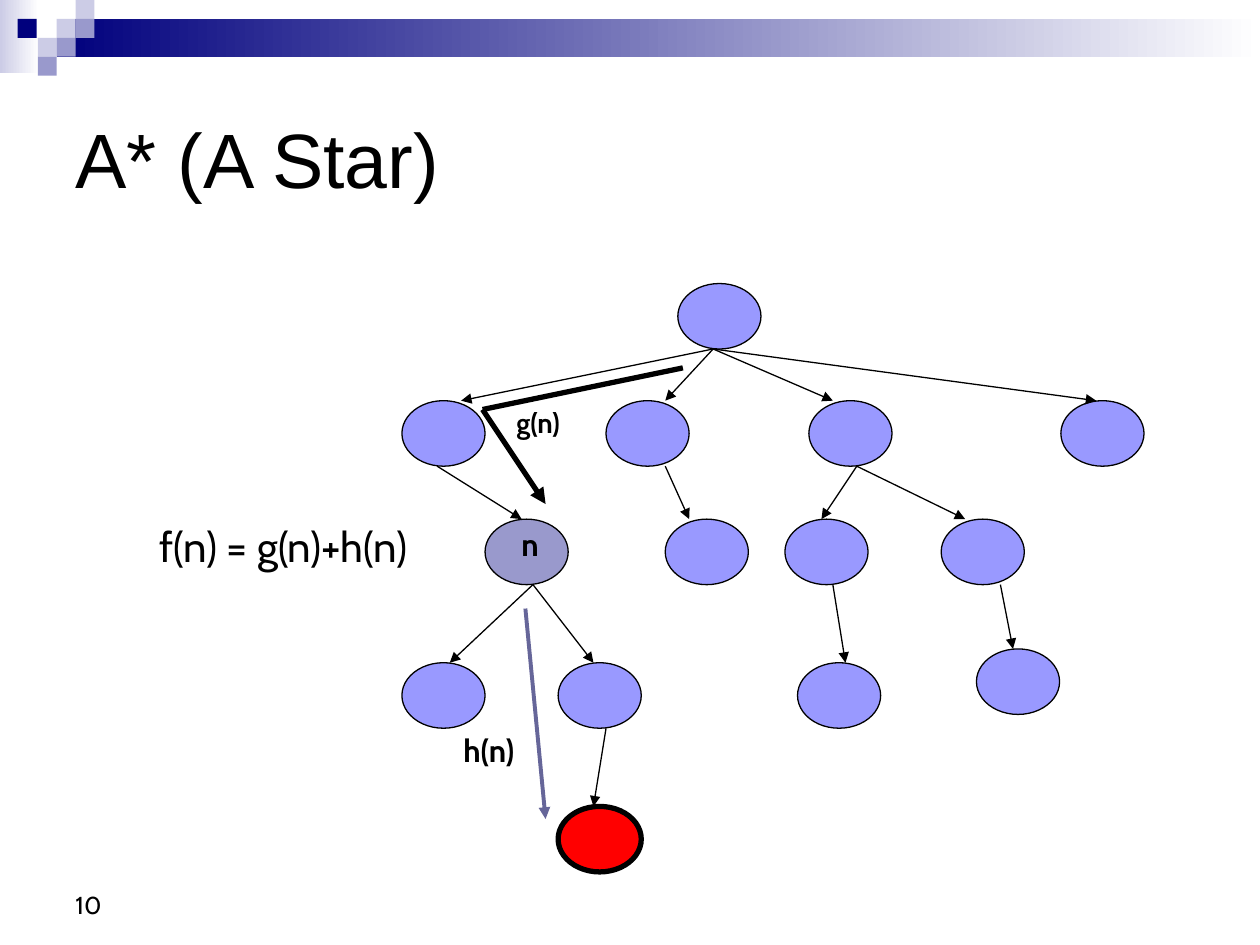
from lxml import etree
from pptx import Presentation
from pptx.dml.color import RGBColor
from pptx.enum.shapes import MSO_CONNECTOR, MSO_SHAPE
from pptx.enum.text import MSO_ANCHOR
from pptx.oxml.ns import qn
from pptx.util import Pt

RECT, OVAL = MSO_SHAPE.RECTANGLE, MSO_SHAPE.OVAL
LINE = MSO_CONNECTOR.STRAIGHT
TOP, MID, LOW = MSO_ANCHOR.TOP, MSO_ANCHOR.MIDDLE, MSO_ANCHOR.BOTTOM
SCALE = 9144
BLACK, NAVY, PALE, DUSK = "000000", "00007D", "CCCCE6", "9999CC"
BLUE, RED, SLATE, WHITE = "9999FF", "FF0000", "666699", "FFFFFF"
NODE_W, NODE_H = 66, 52


def px(num):
    return round(num * SCALE)


def paint(part, color):
    part.rgb = RGBColor.from_string(color)


def add_form(slide, kind, box, fill, edge=None):
    form = slide.shapes.add_shape(kind, *map(px, box))
    form.shadow.inherit = False
    if isinstance(fill, tuple):
        form.fill.gradient()
        form.fill.gradient_angle = 0
        for stop, color, place in zip(form.fill.gradient_stops, fill, (0, 1)):
            paint(stop.color, color)
            stop.position = place
    else:
        form.fill.solid()
        paint(form.fill.fore_color, fill)
    if edge:
        paint(form.line.color, BLACK)
        form.line.width = Pt(edge)
    else:
        form.line.fill.background()
    return form


def add_text(slide, text, box, size=18, font="Cabin", bold=False, anchor=TOP):
    frame = slide.shapes.add_textbox(*map(px, box)).text_frame
    frame.word_wrap = True
    frame.vertical_anchor = anchor
    run = frame.paragraphs[0].add_run()
    run.text = text
    run.font.size = Pt(size)
    run.font.name = font
    run.font.bold = bold
    paint(run.font.color, BLACK)


def add_line(slide, start, end, color=BLACK, width=0.75, head=True):
    line = slide.shapes.add_connector(LINE, *map(px, (*start, *end)))
    paint(line.line.color, color)
    line.line.width = Pt(width)
    if head:
        tip = etree.SubElement(line.line._get_or_add_ln(), qn("a:tailEnd"))
        tip.set("type", "triangle")
    etree.SubElement(line._element.spPr, qn("a:effectLst"))


def add_banner(slide, box):
    left, top, width, height = box
    add_form(slide, RECT, (left, top, 31, height), (PALE, WHITE))
    add_form(slide, RECT, (left + 45, top + 15, width - 45, 30), (NAVY, WHITE))
    tiles = [(45, 15, PALE), (60, 0, PALE), (60, 15, DUSK), (30, 30, PALE),
             (14, 15, NAVY), (45, 30, DUSK), (30, 45, DUSK)]
    for x, y, color in tiles:
        add_form(slide, RECT, (left + x, top + y, 15, 15), color)


def add_tree(slide, box):
    left, top = box[:2]

    def spot(x, y):
        return left + x, top + y

    rows = {0: [219], 93: [0, 162, 523, 323], 187: [66, 209, 304, 428],
            301: [0, 124, 314], 290: [456], 415: [124]}
    fills = {(66, 187): DUSK, (124, 415): RED}
    for y, row in rows.items():
        for x in row:
            fill = fills.get((x, y), BLUE)
            edge = 3 if fill == RED else 0.75
            add_form(slide, OVAL, (*spot(x, y), NODE_W, NODE_H), fill, edge)

    links = {(247, 52): [(47, 93), (209, 93), (342, 93), (551, 93)],
             (28, 145): [(95, 187)],
             (209, 145): [(228, 187)],
             (361, 145): [(333, 187), (447, 187)],
             (104, 239): [(38, 301), (152, 301)],
             (342, 239): [(352, 301)],
             (475, 239): [(485, 290)],
             (162, 353): [(152, 415)]}
    for start, ends in links.items():
        for end in ends:
            add_line(slide, spot(*start), spot(*end))

    bend = spot(64, 100)
    add_line(slide, spot(223, 67), bend, width=3, head=False)
    add_line(slide, bend, spot(114, 175), width=3)
    add_line(slide, spot(98, 258), spot(114, 425), color=SLATE, width=2.25)

    add_text(slide, "n", (*spot(85, 187), 47, 40), bold=True)
    add_text(slide, "g(n)", (*spot(81, 92), 100, 37), size=16, bold=True)
    add_text(slide, "h(n)", (*spot(39, 350), 100, 40), bold=True)


def main():
    deck = Presentation()
    deck.slide_width, deck.slide_height = px(1000), px(750)
    slide = deck.slides.add_slide(deck.slide_layouts[6])
    add_banner(slide, (0, 0, 1000, 58))
    add_text(slide, "A* (A Star)", (50, 50, 900, 150), size=44, font="Arial",
             anchor=MID)
    add_tree(slide, (319, 225, 589, 467))
    add_text(slide, "f(n) = g(n)+h(n)", (117, 408, 292, 50), size=24)
    add_text(slide, "10", (50, 683, 233, 52), size=14, anchor=LOW)
    deck.save("out.pptx")


if __name__ == "__main__":
    main()
